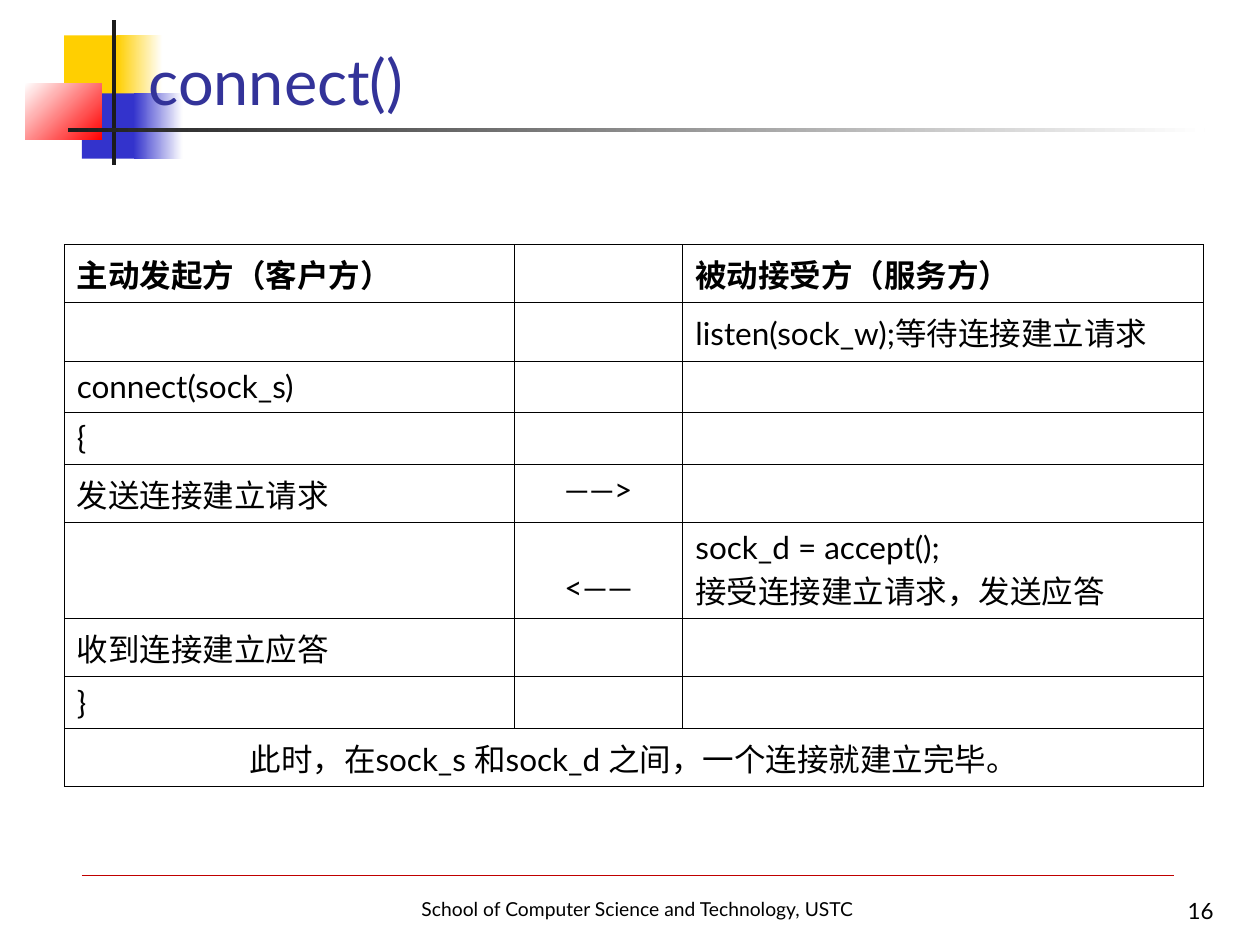
import pptx
import pptx.dml.color
import pptx.enum.shapes
import pptx.enum.text
import pptx.oxml
import pptx.util
from lxml import etree

ALIGN = pptx.enum.text.PP_ALIGN
ANCHOR = pptx.enum.text.MSO_ANCHOR
DRAWING = "http://schemas.openxmlformats.org/drawingml/2006/main"

MESSAGES = [
    ("主动发起方（客户方）", "", "被动接受方（服务方）"),
    ("", "", "listen(sock_w);等待连接建立请求"),
    ("connect(sock_s)", "", ""),
    ("{", "", ""),
    ("发送连接建立请求", "——>", ""),
    ("", "<——", "sock_d = accept();\n接受连接建立请求，发送应答"),
    ("收到连接建立应答", "", ""),
    ("}", "", ""),
    ("此时，在sock_s 和sock_d 之间，一个连接就建立完毕。", "", ""),
]
REPLY_ROW = 5


def color(hex_string):
    return pptx.dml.color.RGBColor.from_string(hex_string)


class Deck:
    """Style and current slide, laid out on a grid of 100 columns by 75 rows."""

    FONT = "Lato"
    INK = "000000"
    PAPER = "FFFFFF"

    def __init__(self):
        self.presentation = pptx.Presentation()
        self.presentation.slide_width = pptx.util.Inches(10)
        self.presentation.slide_height = pptx.util.Inches(7.5)
        self.unit = self.presentation.slide_width / 100
        self.slide = self.presentation.slides.add_slide(
            self.presentation.slide_layouts[5])

    def grid(self, *lengths):
        return [round(length * self.unit) for length in lengths]

    def style(self, frame, size, ink=INK, align=ALIGN.LEFT, bold=False):
        for paragraph in frame.paragraphs:
            paragraph.alignment = align
            for run in paragraph.runs:
                run.font.name = self.FONT
                run.font.size = pptx.util.Pt(size)
                run.font.bold = bold
                run.font.color.rgb = color(ink)

    def block(self, box, start, end=None, angle=0):
        """Draw a rectangle, plain or fading from start to end."""
        shape = self.slide.shapes.add_shape(
            pptx.enum.shapes.MSO_SHAPE.RECTANGLE, *self.grid(*box))
        shape.shadow.inherit = False
        shape.line.fill.background()
        if end is None:
            shape.fill.solid()
            shape.fill.fore_color.rgb = color(start)
            return
        shape.fill.gradient()
        shape.fill.gradient_angle = angle
        for stop, shade in zip(shape.fill.gradient_stops, (start, end)):
            stop.color.rgb = color(shade)

    def rule(self, ends, ink, width):
        line = self.slide.shapes.add_connector(
            pptx.enum.shapes.MSO_CONNECTOR.STRAIGHT, *self.grid(*ends))
        line.line.color.rgb = color(ink)
        line.line.width = pptx.util.Pt(width)
        etree.SubElement(line._element.spPr, f"{{{DRAWING}}}effectLst")

    def title(self, text, box, size, ink):
        """Fill the title placeholder and bring it in front of the ornament."""
        title = self.slide.shapes.title
        title.left, title.top, title.width, title.height = self.grid(*box)
        frame = title.text_frame
        frame.text = text
        frame.auto_size = pptx.enum.text.MSO_AUTO_SIZE.NONE
        frame.vertical_anchor = ANCHOR.BOTTOM
        self.style(frame, size, ink)
        self.slide.shapes._spTree.append(title._element)

    def label(self, text, box, size, align, anchor=ANCHOR.TOP):
        frame = self.slide.shapes.add_textbox(*self.grid(*box)).text_frame
        frame.word_wrap = True
        frame.vertical_anchor = anchor
        frame.text = text
        self.style(frame, size, align=align)

    def border(self, cell, width):
        properties = cell._tc.get_or_add_tcPr()
        for position, side in enumerate(("lnL", "lnR", "lnT", "lnB")):
            properties.insert(position, pptx.oxml.parse_xml(
                f'<a:{side} xmlns:a="{DRAWING}" w="{pptx.util.Pt(width)}">'
                f'<a:solidFill><a:srgbClr val="{self.INK}"/></a:solidFill>'
                f'</a:{side}>'))

    def table(self, rows, box, widths, heights, size):
        """Draw a ruled table with a bold first row and a merged last row."""
        table = self.slide.shapes.add_table(
            len(rows), len(widths), *self.grid(*box)).table
        table.first_row = table.horz_banding = False
        for column, width in zip(table.columns, self.grid(*widths)):
            column.width = width
        for row, height in zip(table.rows, self.grid(*heights)):
            row.height = height
        last = len(rows) - 1
        for r, texts in enumerate(rows):
            for c, text in enumerate(texts):
                cell = table.cell(r, c)
                cell.fill.solid()
                cell.fill.fore_color.rgb = color(self.PAPER)
                self.border(cell, 0.45)
                if text:
                    cell.text_frame.text = text
                    centred = c == 1 or r == last
                    self.style(cell.text_frame, size, bold=r == 0,
                               align=ALIGN.CENTER if centred else ALIGN.LEFT)
        table.cell(last, 0).merge(table.cell(last, len(widths) - 1))
        return table


def main():
    deck = Deck()
    deck.block((5.1, 2.8, 4.7, 5.1), "FFCF01")
    deck.block((9.3, 2.8, 3.6, 5.1), "FFCF01", deck.PAPER)
    deck.block((6.5, 7.4, 4.6, 5.2), "3333CC")
    deck.block((10.6, 7.4, 3.9, 5.2), "3333CC", deck.PAPER)
    deck.block((2, 6.6, 6.1, 4.5), deck.PAPER, "FF0000", angle=315)
    deck.block((8.9, 1.6, 0.3, 11.5), "1C1C1C")
    deck.block((5.4, 10.2, 90.2, 0.3), "1C1C1C", deck.PAPER)

    deck.label("School of Computer Science and Technology, USTC",
               (32.2, 70.7, 36.8, 4.7), 11, ALIGN.CENTER)
    deck.rule((6.5, 69.5, 93.2, 69.5), "C00000", 0.25)
    deck.title("connect()", (10.8, 2.3, 84.4, 7.6), 36, "333399")

    heights = [7 if r == REPLY_ROW else 4.1 for r in range(len(MESSAGES))]
    exchange = deck.table(MESSAGES, (5.1, 19.4, 90.4, 39.5),
                          (35.7, 13.4, 41.3), heights, 18)
    reply_arrow = exchange.cell(REPLY_ROW, 1)
    reply_arrow.vertical_anchor = ANCHOR.BOTTOM
    reply_arrow.margin_bottom = pptx.util.Inches(0.1)

    deck.label("16", (86.2, 70.3, 11.1, 3.5), 12.8, ALIGN.RIGHT, ANCHOR.BOTTOM)
    deck.presentation.save("out.pptx")


if __name__ == "__main__":
    main()
